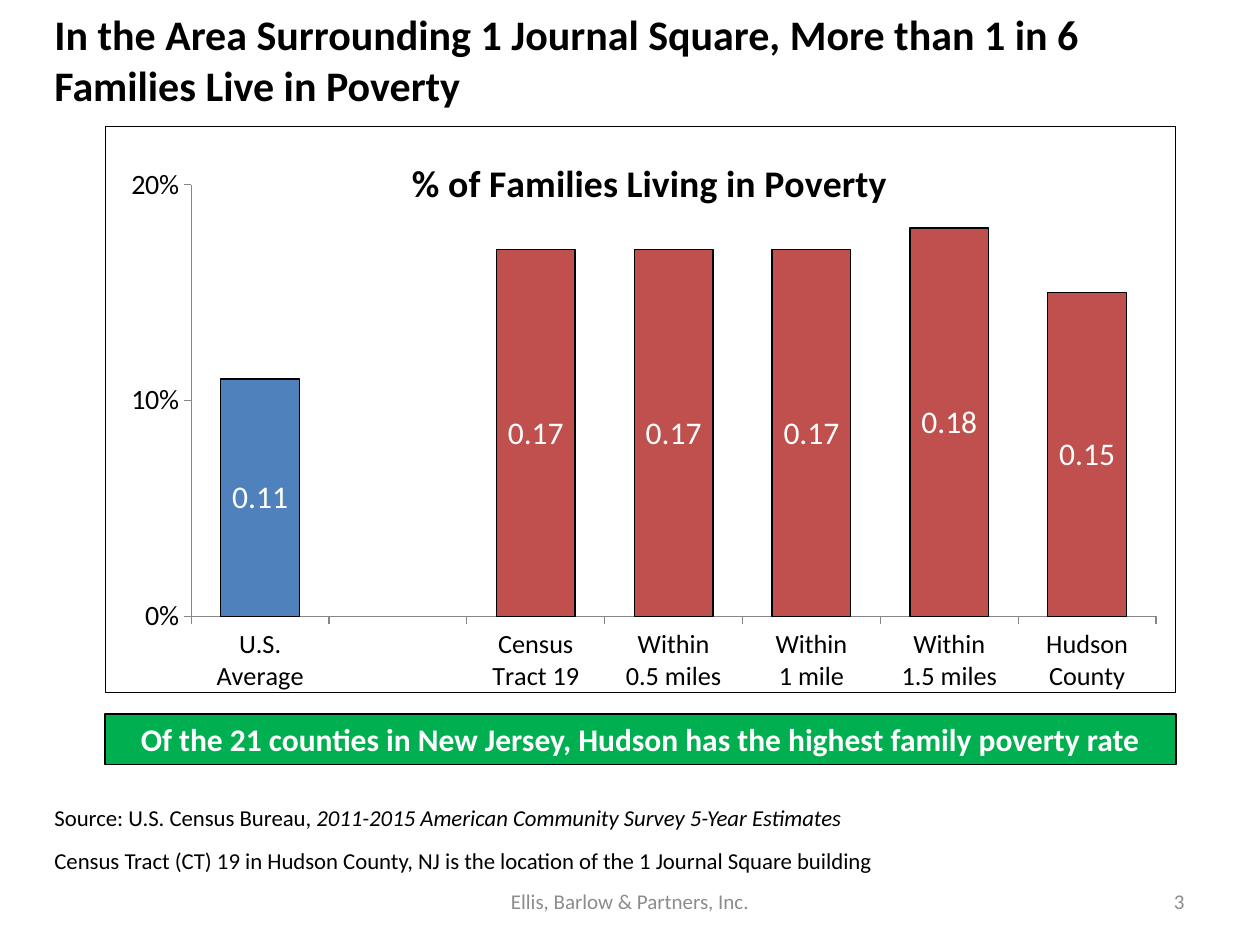
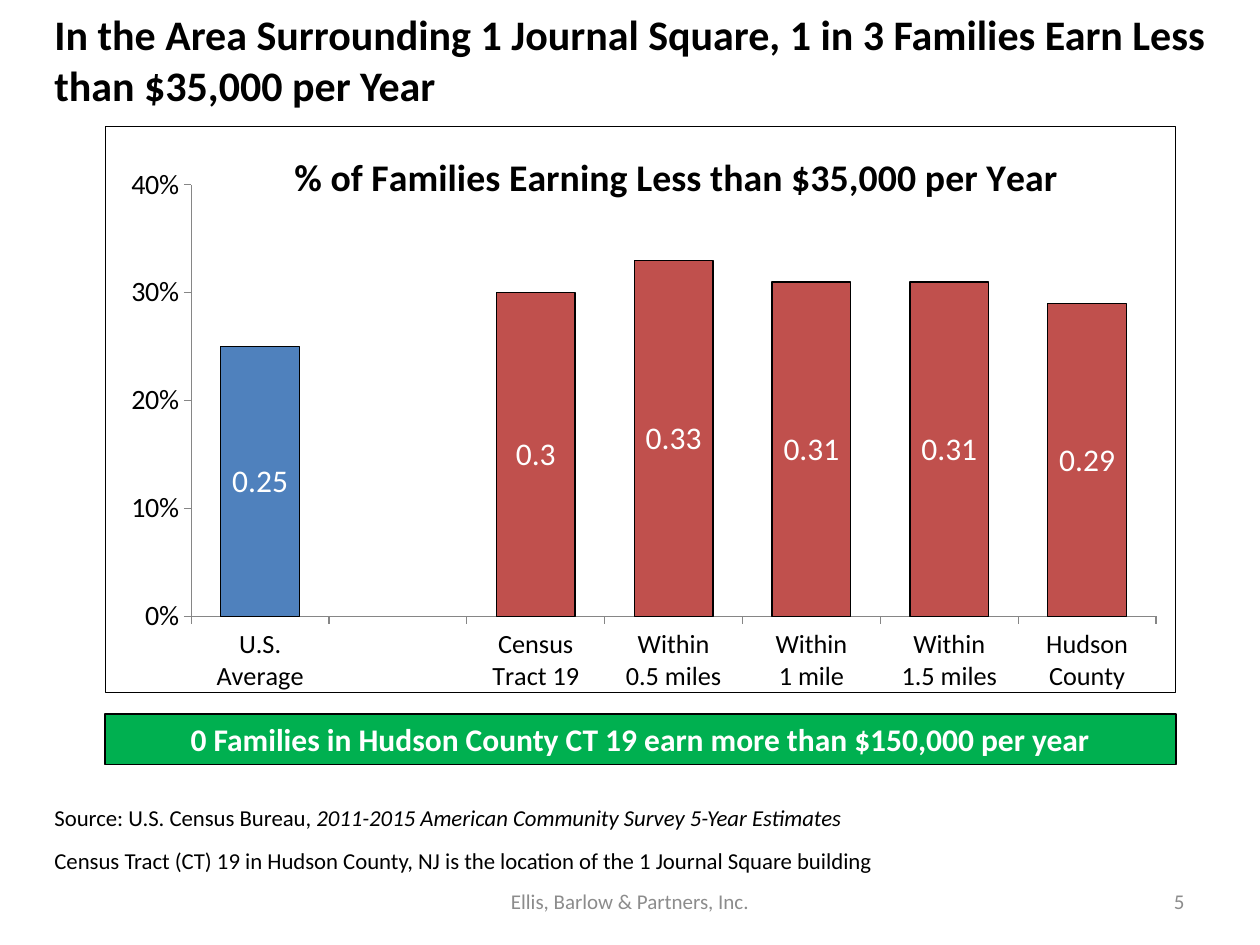
import dataclasses
import typing

import lxml.etree
import pptx
import pptx.chart.data
import pptx.dml.color
import pptx.enum.chart
import pptx.enum.shapes
import pptx.enum.text
import pptx.oxml
import pptx.oxml.ns
import pptx.util

Color = pptx.dml.color.RGBColor
Align = pptx.enum.text.PP_ALIGN
Anchor = pptx.enum.text.MSO_ANCHOR

PX = 7620  # EMU: 120 px to the inch
FONT = "Calibri"
BLACK = Color(0x00, 0x00, 0x00)
WHITE = Color(0xFF, 0xFF, 0xFF)
GRAY = Color(0x8C, 0x8C, 0x8C)
AXIS = Color(0x86, 0x86, 0x86)
BLUE = Color(0x4F, 0x81, 0xBD)
RED = Color(0xC0, 0x50, 0x4D)
GREEN = Color(0x00, 0xB0, 0x50)
THIN = pptx.util.Pt(0.75)

AREAS = ["U.S.\nAverage", "", "Census\nTract 19", "Within\n0.5 miles",
         "Within\n1 mile", "Within\n1.5 miles", "Hudson\nCounty"]
FIRM = "Ellis, Barlow & Partners, Inc."
SOURCE = "Source: U.S. Census Bureau, "
SURVEY = "2011-2015 American Community Survey 5-Year Estimates"
TRACT = ("Census Tract (CT) 19 in Hudson County, NJ is the location "
         "of the 1 Journal Square building")


@dataclasses.dataclass(frozen=True)
class Box:
    left: int
    top: int
    width: int
    height: int

    def emu(self) -> list[int]:
        return [n * PX for n in dataclasses.astuple(self)]


@dataclasses.dataclass(frozen=True)
class Style:
    size: float
    color: Color = BLACK
    bold: bool = False
    align: Align = Align.LEFT


@dataclasses.dataclass(frozen=True)
class Page:
    number: int
    title: str
    head: str
    head_x: float
    head_y: float
    rates: list[float | None]
    top: float
    banner: str


TITLE = Box(40, 14, 1120, 85)
CHART = Box(100, 120, 1020, 540)
BANNER = Box(100, 680, 1020, 48)
NOTES = Box(40, 760, 880, 79)
FOOTER = Box(350, 834, 500, 48)
NUMBER = Box(860, 834, 280, 48)

PAGES = [
    Page(3, "In the Area Surrounding 1 Journal Square, More than 1 in 6 "
         "Families Live in Poverty",
         "% of Families Living in Poverty", 0.28, 0.04,
         [0.11, None, 0.17, 0.17, 0.17, 0.18, 0.15], 0.2,
         "Of the 21 counties in New Jersey, Hudson has the highest "
         "family poverty rate"),
    Page(5, "In the Area Surrounding 1 Journal Square, 1 in 3 Families Earn "
         "Less than $35,000 per Year",
         "% of Families Earning Less than $35,000 per Year", 0.17, 0.03,
         [0.25, None, 0.3, 0.33, 0.31, 0.31, 0.29], 0.4,
         "0 Families in Hudson County CT 19 earn more than $150,000 per year"),
]


def set_font(font: typing.Any, style: Style) -> None:
    font.name = FONT
    font.size = pptx.util.Pt(style.size)
    font.bold = style.bold
    font.color.rgb = style.color


def write(para: typing.Any, text: str, style: Style) -> None:
    para.add_run().text = text
    para.alignment = style.align
    set_font(para.font, style)


def add_text(slide: typing.Any, box: Box, text: str, style: Style,
             anchor: Anchor = Anchor.MIDDLE) -> typing.Any:
    frame = slide.shapes.add_textbox(*box.emu()).text_frame
    frame.word_wrap = True
    frame.vertical_anchor = anchor
    write(frame.paragraphs[0], text, style)
    return frame


def add_notes(slide: typing.Any) -> None:
    style = Style(13)
    frame = add_text(slide, NOTES, SOURCE, style, Anchor.TOP)
    run = frame.paragraphs[0].add_run()
    run.text = SURVEY
    run.font.italic = True
    para = frame.add_paragraph()
    para.space_before = pptx.util.Pt(8.5)
    write(para, TRACT, style)


def add_banner(slide: typing.Any, text: str) -> None:
    kind = pptx.enum.shapes.MSO_SHAPE.RECTANGLE
    shape = slide.shapes.add_shape(kind, *BANNER.emu())
    shape.shadow.inherit = False
    shape.fill.solid()
    shape.fill.fore_color.rgb = GREEN
    shape.line.color.rgb = BLACK
    shape.line.width = THIN
    frame = shape.text_frame
    frame.word_wrap = True
    frame.vertical_anchor = Anchor.TOP
    write(frame.paragraphs[0], text, Style(18, WHITE, True, Align.CENTER))


def place(node: typing.Any, index: int, **parts: typing.Any) -> None:
    """Give a chart part a manual layout, as fractions of the chart."""
    tag = pptx.oxml.ns.qn
    for old in node.findall(tag("c:layout")):
        node.remove(old)
    layout = lxml.etree.Element(tag("c:layout"))
    manual = lxml.etree.SubElement(layout, tag("c:manualLayout"))
    for name, value in parts.items():
        lxml.etree.SubElement(manual, tag(f"c:{name}"), val=str(value))
    node.insert(index, layout)


def add_frame(chart: typing.Any) -> None:
    """Outline the whole chart."""
    border = pptx.oxml.parse_xml(
        f'<c:spPr {pptx.oxml.ns.nsdecls("c", "a")}><a:noFill/>'
        f'<a:ln w="{int(THIN)}"><a:solidFill><a:srgbClr val="{BLACK}"/>'
        '</a:solidFill></a:ln></c:spPr>')
    chart.element.find(pptx.oxml.ns.qn("c:chart")).addnext(border)


def style_axis(axis: typing.Any, size: int) -> None:
    axis.has_major_gridlines = False
    axis.major_tick_mark = pptx.enum.chart.XL_TICK_MARK.OUTSIDE
    axis.format.line.color.rgb = AXIS
    axis.format.line.width = THIN
    set_font(axis.tick_labels.font, Style(size))


def paint(bar: typing.Any, color: Color) -> None:
    bar.format.fill.solid()
    bar.format.fill.fore_color.rgb = color
    bar.format.line.color.rgb = BLACK
    bar.format.line.width = THIN


def add_chart(slide: typing.Any, page: Page) -> None:
    data = pptx.chart.data.CategoryChartData()
    data.categories = AREAS
    data.add_series("Series 1", page.rates)
    kind = pptx.enum.chart.XL_CHART_TYPE.COLUMN_CLUSTERED
    chart = slide.shapes.add_chart(kind, *CHART.emu(), data).chart
    set_font(chart.font, Style(18))
    chart.has_legend = False
    add_frame(chart)

    chart.has_title = True
    head = chart.chart_title
    write(head.text_frame.paragraphs[0], page.head,
          Style(21.6, bold=True, align=Align.CENTER))
    head.include_in_layout = True
    title = head._element
    place(title, 1, xMode="edge", yMode="edge", x=page.head_x, y=page.head_y)
    area = chart.element.find(".//" + pptx.oxml.ns.qn("c:plotArea"))
    place(area, 0, layoutTarget="inner", xMode="edge", yMode="edge",
          x=0.08, y=0.103, w=0.902, h=0.763)

    style_axis(chart.category_axis, 15)
    axis = chart.value_axis
    style_axis(axis, 16)
    axis.minimum_scale = 0
    axis.maximum_scale = page.top
    axis.major_unit = 0.1
    axis.tick_labels.number_format = "0%"
    axis.tick_labels.number_format_is_linked = False

    plot = chart.plots[0]
    plot.gap_width = 75
    plot.vary_by_categories = False
    bars = plot.series[0]
    bars.invert_if_negative = False
    paint(bars, RED)
    paint(bars.points[0], BLUE)
    labels = bars.data_labels
    labels.show_value = True
    labels.position = pptx.enum.chart.XL_LABEL_POSITION.CENTER
    set_font(labels.font, Style(18, WHITE))


def add_page(deck: typing.Any, page: Page) -> None:
    slide = deck.slides.add_slide(deck.slide_layouts[6])
    add_text(slide, FOOTER, FIRM, Style(12, GRAY, align=Align.CENTER))
    add_text(slide, NUMBER, str(page.number),
             Style(12, GRAY, align=Align.RIGHT))
    add_text(slide, TITLE, page.title, Style(24, bold=True))
    add_chart(slide, page)
    add_notes(slide)
    add_banner(slide, page.banner)


def main() -> None:
    deck = pptx.Presentation()
    deck.slide_width = 1200 * PX
    deck.slide_height = 900 * PX
    for page in PAGES:
        add_page(deck, page)
    deck.save("out.pptx")


if __name__ == "__main__":
    main()
